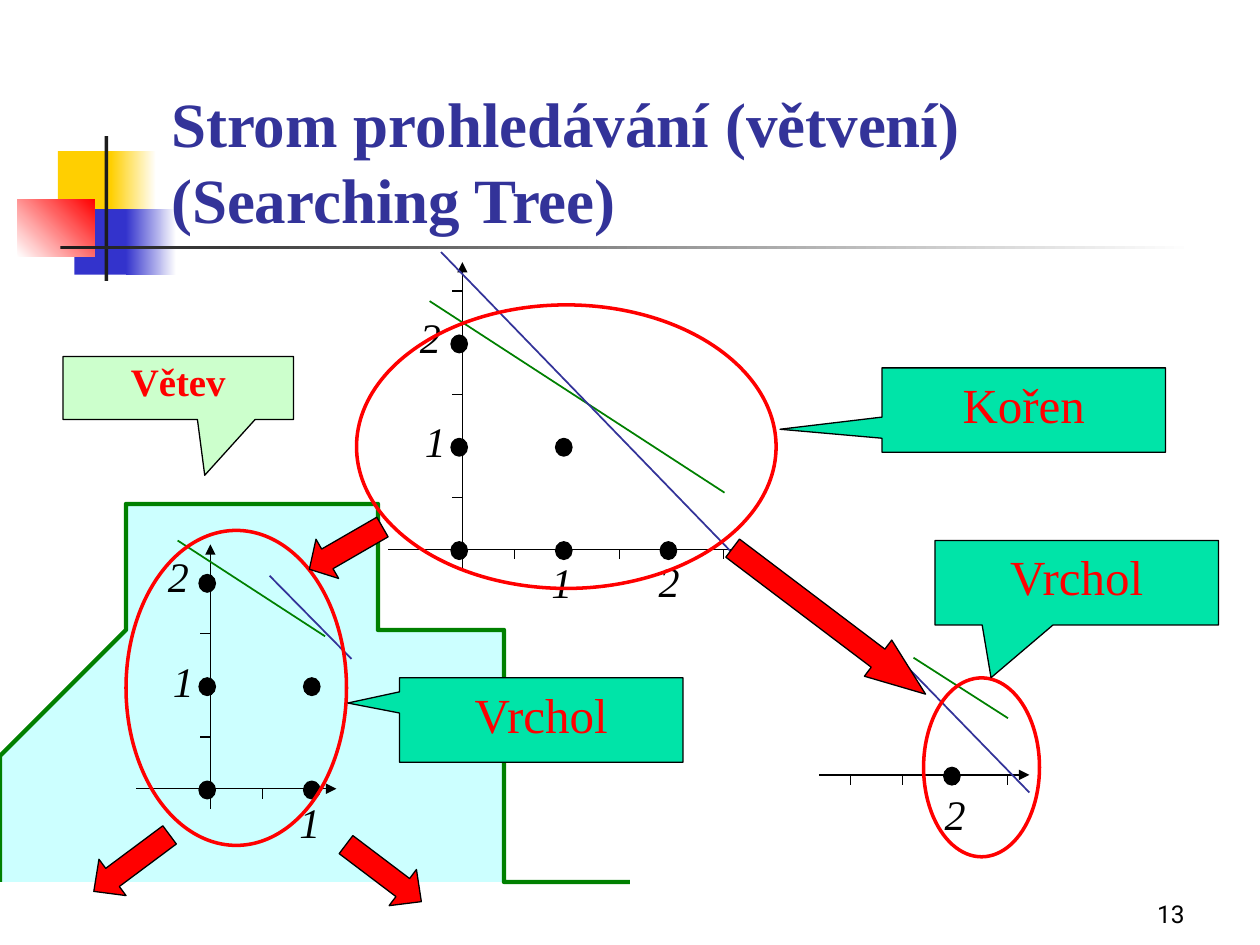
import pptx
from lxml import etree
from pptx.dml.color import RGBColor
from pptx.enum.shapes import MSO_CONNECTOR, MSO_SHAPE
from pptx.enum.text import MSO_ANCHOR, MSO_AUTO_SIZE, PP_ALIGN
from pptx.oxml.ns import qn
from pptx.util import Inches, Pt


class Theme:
    serif, sans = "Times New Roman", "Roboto"
    title_size, callout_size, branch_size, label_size, number_size = 36, 28, 22.2, 24, 14
    thin, constraint, outline, branch = 0.75, 1, 2, 2.5
    black, white, dark = "000000", "FFFFFF", "1C1C1C"
    yellow, blue, red = "FFCF01", "3333CC", "FF0000"
    navy, green = "333399", "008000"
    pale_cyan, pale_green, mint = "CCFFFF", "CCFFCC", "00E4A8"


presentation = pptx.Presentation()
presentation.slide_width, presentation.slide_height = Inches(10), Inches(7.5)
slide = presentation.slides.add_slide(presentation.slide_layouts[6])
shapes = slide.shapes


def add_line(start, end, color=Theme.black, width=Theme.thin, arrow=False):
    line = shapes.add_connector(MSO_CONNECTOR.STRAIGHT, *map(Inches, start + end))
    line.line.color.rgb = RGBColor.from_string(color)
    line.line.width = Pt(width)
    properties = line.element.spPr
    if arrow:
        etree.SubElement(properties.find(qn("a:ln")), qn("a:tailEnd"), type="triangle")
    etree.SubElement(properties, qn("a:effectLst"))


def add_outlined(kind, box, fill=None, color=Theme.black, width=Theme.thin, adjustments=()):
    """Add a preset shape; without a fill colour it is see-through."""
    shape = shapes.add_shape(kind, *map(Inches, box))
    shape.shadow.inherit = False
    if fill:
        shape.fill.solid()
        shape.fill.fore_color.rgb = RGBColor.from_string(fill)
    else:
        shape.fill.background()
    shape.line.color.rgb = RGBColor.from_string(color)
    shape.line.width = Pt(width)
    for index, value in enumerate(adjustments):
        shape.adjustments[index] = value
    return shape


# Corner ornament and rule: box, first colour, last colour, angle
ornaments = [
    ((0.46, 1.2, 0.48, 0.52), Theme.yellow, None, 0),
    ((0.88, 1.2, 0.36, 0.52), Theme.yellow, Theme.white, 0),
    ((0.59, 1.66, 0.46, 0.52), Theme.blue, None, 0),
    ((1, 1.66, 0.4, 0.52), Theme.blue, Theme.white, 0),
    ((0.14, 1.58, 0.61, 0.46), Theme.white, Theme.red, 45),
    ((0.83, 1.08, 0.03, 1.15), Theme.dark, None, 0),
    ((0.48, 1.95, 9, 0.03), Theme.dark, Theme.white, 0),
]
for box, first, last, angle in ornaments:
    ornament = add_outlined(MSO_SHAPE.RECTANGLE, box, first)
    ornament.line.fill.background()
    if last:
        ornament.fill.gradient()
        ornament.fill.gradient_angle = angle
        for stop, color in zip(ornament.fill.gradient_stops, (first, last)):
            stop.color.rgb = RGBColor.from_string(color)

# Title and slide number
headings = [
    ((1.26, 0.67, 8.52, 1.25), "Strom prohledávání (větvení)\v(Searching Tree)",
     Theme.serif, Theme.title_size, Theme.navy, True, PP_ALIGN.LEFT),
    ((7.42, 6.92, 2.08, 0.5), "13",
     Theme.sans, Theme.number_size, Theme.black, False, PP_ALIGN.RIGHT),
]
for box, text, font, size, color, bold, alignment in headings:
    frame = shapes.add_textbox(*map(Inches, box)).text_frame
    frame.word_wrap = True
    frame.vertical_anchor = MSO_ANCHOR.BOTTOM
    frame.text = text
    paragraph = frame.paragraphs[0]
    paragraph.alignment = alignment
    paragraph.font.name, paragraph.font.size, paragraph.font.bold = font, Pt(size), bold
    paragraph.font.color.rgb = RGBColor.from_string(color)

# Branch outline, sampled from Bézier segments
branch_start = (0.33, 7.25)
branch_segments = [
    ((0.43, 6.02), (0.53, 4.79), (0.83, 4.25)),
    ((1.14, 3.71), (1.71, 3.82), (2.17, 4)),
    ((2.62, 4.18), (3.17, 4.78), (3.58, 5.33)),
    ((4, 5.89), (4.49, 7), (4.67, 7.33)),
]
steps = 16
branch_points = [branch_start]
for segment in branch_segments:
    controls = (branch_points[-1], *segment)
    for step in range(1, steps + 1):
        t = step / steps
        weights = ((1 - t) ** 3, 3 * t * (1 - t) ** 2, 3 * t ** 2 * (1 - t), t ** 3)
        branch_points.append(tuple(
            sum(weight * point[axis] for weight, point in zip(weights, controls))
            for axis in (0, 1)))
builder = shapes.build_freeform(*branch_start, scale=Inches(1))
builder.add_line_segments(branch_points[1:], close=False)
branch = builder.convert_to_shape()
branch.shadow.inherit = False
branch.fill.solid()
branch.fill.fore_color.rgb = RGBColor.from_string(Theme.pale_cyan)
branch.line.color.rgb = RGBColor.from_string(Theme.green)
branch.line.width = Pt(Theme.branch)

# Plots: labels are (text, x, y, width) from the origin, dots are grid points
tick, tick_length, unit, dot_width, dot_height = 0.41, 0.08, 0.83, 0.13, 0.14
y_labels = [("1", -0.59, -1.11, 0.75), ("2", -0.59, -1.94, 0.67)]
plots = [
    dict(origin=(3.67, 4.36), x_axis=(3.08, 5.92), y_axis=(4.52, 2.08), ticks=(5, 5),
         labels=[("1", 0.29, 0.01, 1), ("2", 1.14, 0, 1)] + y_labels,
         dots=[(0, 0), (1, 1), (0, 1), (2, 0), (1, 0), (0, 2)],
         green=((3.41, 2.39), (5.75, 3.91)), navy=((3.5, 2), (5.92, 4.5)),
         ellipse=(2.83, 2.42, 3.33, 2.25)),
    dict(origin=(1.67, 6.26), x_axis=(1.08, 2.67), y_axis=(6.42, 4.32), ticks=(2, 4),
         labels=[("1", 0.29, 0.01, 1)] + y_labels,
         dots=[(0, 0), (1, 1), (0, 1), (1, 0), (0, 2)],
         green=((1.41, 4.29), (2.58, 5.05)), navy=((2.14, 4.57), (2.79, 5.23)),
         ellipse=(1, 4.21, 1.75, 2.5)),
    dict(origin=(5.92, 6.15), x_axis=(6.5, 8.17), y_axis=None, ticks=(5, 0),
         labels=[("2", 1.16, 0.06, 1)], dots=[(2, 0)],
         green=((7.25, 5.22), (8, 5.7)), navy=((7.12, 5.21), (8.17, 6.29)),
         ellipse=(7.33, 5.38, 0.92, 1.42)),
]
for plot in plots:
    x0, y0 = plot["origin"]
    left, right = plot["x_axis"]
    if plot["y_axis"]:
        bottom, top = plot["y_axis"]
        add_line((x0, bottom), (x0, top), arrow=True)
    add_line((left, y0), (right, y0), arrow=True)
    x_ticks, y_ticks = plot["ticks"]
    for number in range(1, x_ticks + 1):
        x = x0 + number * unit / 2
        if x > left:
            add_line((x, y0), (x, y0 + tick_length))
    for number in range(1, y_ticks + 1):
        y = y0 - number * tick
        add_line((x0 - tick_length, y), (x0, y))
    for text, x, y, width in plot["labels"]:
        frame = shapes.add_textbox(*map(Inches, (x0 + x, y0 + y, width, 0.5))).text_frame
        frame.word_wrap = True
        frame.auto_size = MSO_AUTO_SIZE.SHAPE_TO_FIT_TEXT
        frame.text = text
        paragraph = frame.paragraphs[0]
        paragraph.alignment = PP_ALIGN.CENTER
        paragraph.space_before = Pt(15)
        paragraph.font.name, paragraph.font.size = Theme.serif, Pt(Theme.label_size)
        paragraph.font.italic = True
        paragraph.font.color.rgb = RGBColor.from_string(Theme.black)
    for column, row in plot["dots"]:
        box = (x0 - 0.09 + column * unit, y0 - 0.06 - row * 0.82, dot_width, dot_height)
        add_outlined(MSO_SHAPE.OVAL, box, Theme.black)
    add_line(*plot["green"], Theme.green, Theme.constraint)
    add_line(*plot["navy"], Theme.navy, Theme.constraint)
    add_outlined(MSO_SHAPE.OVAL, plot["ellipse"], None, Theme.red, Theme.outline)

# Callouts: text, box, pointer tip, fill, size, bold, line spacing
callouts = [
    ("Větev", (0.5, 2.83, 1.83, 0.5), (0.115, 1.385),
     Theme.pale_green, Theme.branch_size, True, 0.9),
    ("Kořen", (7, 2.92, 2.25, 0.67), (-0.86, 0.227),
     Theme.mint, Theme.callout_size, False, 1.0),
    ("Vrchol", (3.17, 5.38, 2.25, 0.67), (-0.682, -0.201),
     Theme.mint, Theme.callout_size, False, 1.0),
    ("Vrchol", (7.42, 4.29, 2.25, 0.67), (-0.302, 1.125),
     Theme.mint, Theme.callout_size, False, 1.0),
]
for text, box, tip, fill, size, bold, spacing in callouts:
    callout = add_outlined(MSO_SHAPE.RECTANGULAR_CALLOUT, box, fill, adjustments=tip)
    frame = callout.text_frame
    frame.word_wrap = True
    frame.vertical_anchor = MSO_ANCHOR.TOP
    frame.text = text
    paragraph = frame.paragraphs[0]
    paragraph.alignment = PP_ALIGN.CENTER
    paragraph.line_spacing = spacing
    paragraph.font.name, paragraph.font.size, paragraph.font.bold = Theme.serif, Pt(size), bold
    paragraph.font.color.rgb = RGBColor.from_string(Theme.red)

# Block arrows: left, top, length, rotation, head length
block_arrows = [
    (0.67, 6.67, 0.75, 143.3, 0.514),
    (2.67, 6.75, 0.75, 37.1, 0.514),
    (2.41, 4.17, 0.67, 150, 0.457),
    (5.62, 4.75, 1.92, 37.1, 1.314),
]
for left, top, length, rotation, head in block_arrows:
    block_arrow = add_outlined(MSO_SHAPE.RIGHT_ARROW, (left, top, length, 0.36), Theme.red,
                               adjustments=(0.5, head))
    block_arrow.rotation = rotation

presentation.save("out.pptx")
